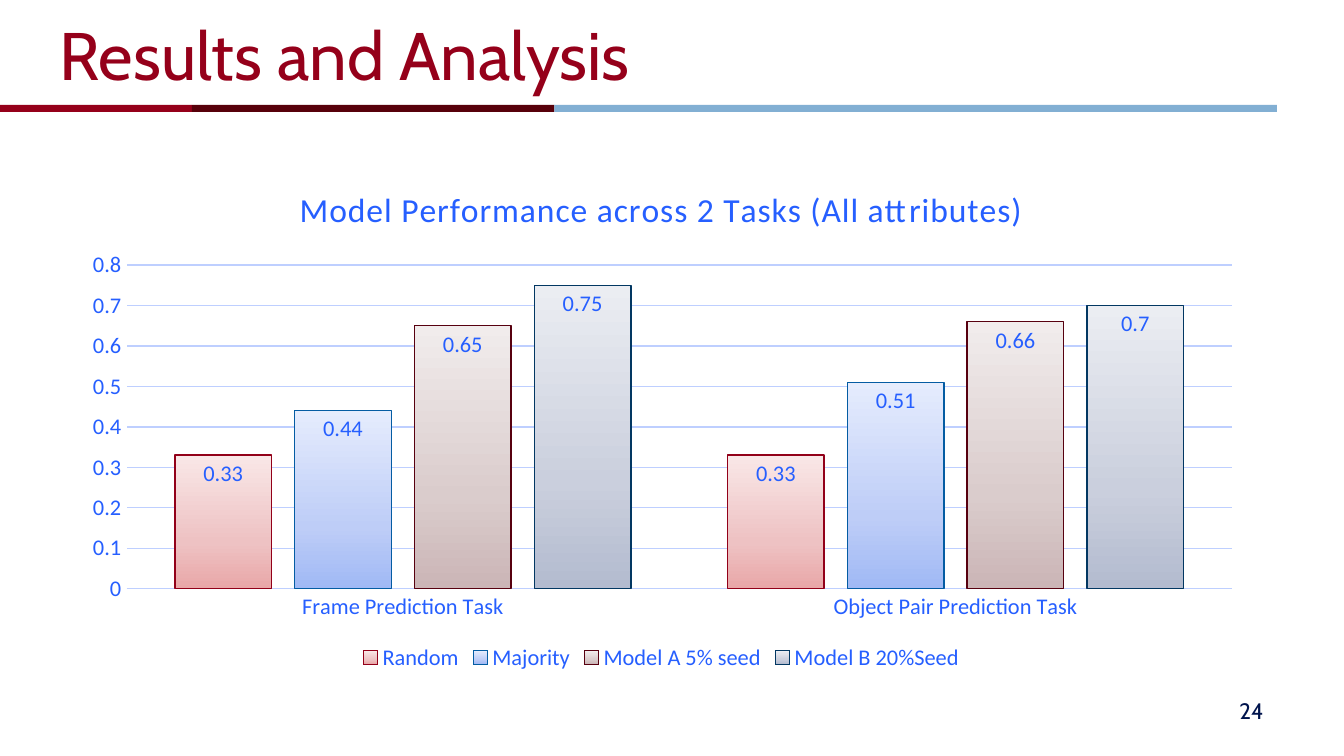
from copy import deepcopy

from pptx import Presentation
from pptx.chart.data import CategoryChartData
from pptx.dml.color import RGBColor
from pptx.enum.chart import XL_CHART_TYPE, XL_LABEL_POSITION, XL_LEGEND_POSITION, XL_TICK_MARK
from pptx.enum.shapes import MSO_SHAPE
from pptx.enum.text import MSO_ANCHOR, PP_ALIGN
from pptx.oxml import parse_xml
from pptx.oxml.ns import nsdecls
from pptx.util import Pt

PX = 9525
CRIMSON = RGBColor(0x95, 0x00, 0x1A)
MAROON = RGBColor(0x57, 0x00, 0x0A)
SKY = RGBColor(0x82, 0xAF, 0xD3)
NAVY = RGBColor(0x00, 0x14, 0x4D)
BLUE = RGBColor(0x26, 0x5F, 0xFF)
PALE_BLUE = RGBColor(0xBE, 0xCF, 0xFF)

BANDS = [(-1, 137, CRIMSON), (137, 396, MAROON), (396, 912, SKY)]
TASKS = ["Frame Prediction Task", "Object Pair Prediction Task"]
STOPS = (0, 0.35, 1)
MODELS = [
    ("Random", (0.33, 0.33), ("E9A7A8", "EEC2C3", "F9E7E7"), "920019"),
    ("Majority", (0.44, 0.51), ("A0B9F5", "BECDF7", "E5ECFD"), "045CA3"),
    ("Model A 5% seed", (0.65, 0.66), ("CBB5B6", "DACCCC", "F1ECEC"), "57000F"),
    ("Model B 20%Seed", (0.75, 0.7), ("B3BBCF", "CACFDD", "EBEDF2"), "023762"),
]
PLOT_BOX = {"x": 0.05, "y": 0.2, "w": 0.93, "h": 0.63}


def px(*lengths):
    """Turn px lengths into EMU."""
    return [n * PX for n in lengths]


def style_font(font, name, size, color):
    """Set typeface, size and colour of a font."""
    font.name = name
    font.size = Pt(size)
    font.bold = False
    font.color.rgb = color


def write(s, text, size, color, align):
    """Write one middle-anchored run into a shape."""
    tf = s.text_frame
    tf.word_wrap = True
    tf.vertical_anchor = MSO_ANCHOR.MIDDLE
    p = tf.paragraphs[0]
    p.alignment = align
    r = p.add_run()
    r.text = text
    style_font(r.font, "Cabin", size, color)


def add_title(slide, text):
    """Place and fill the title placeholder."""
    s = slide.shapes.title
    s.left, s.top, s.width, s.height = px(33, 2, 864, 73)
    write(s, text, 36, CRIMSON, PP_ALIGN.LEFT)


def add_band(slide, left, right, color):
    """Add one segment of the rule under the title."""
    s = slide.shapes.add_shape(MSO_SHAPE.RECTANGLE, *px(left, 75, right - left, 5))
    s.shadow.inherit = False
    s.fill.solid()
    s.fill.fore_color.rgb = color
    s.line.fill.background()


def add_number(slide, text):
    """Add the slide number."""
    s = slide.shapes.add_textbox(*px(688, 493, 224, 29))
    write(s, text, 12, NAVY, PP_ALIGN.RIGHT)


def style_line(line, color):
    """Give a line its colour and the common width."""
    line.color.rgb = color
    line.width = Pt(0.75)


def style_axis(axis):
    """Remove tick marks and style the axis labels."""
    axis.major_tick_mark = axis.minor_tick_mark = XL_TICK_MARK.NONE
    style_font(axis.tick_labels.font, "Calibri", 12, BLUE)


def style_series(series, colors, outline):
    """Give a series its three-stop gradient, outline and labels."""
    fill = series.format.fill
    fill.gradient()
    fill.gradient_angle = 90
    first = series._element.xpath("c:spPr/a:gradFill/a:gsLst/a:gs")[0]
    first.addnext(deepcopy(first))
    for stop, position, color in zip(fill.gradient_stops, STOPS, colors):
        stop.position = position
        stop.color.rgb = RGBColor.from_string(color)
    style_line(series.format.line, RGBColor.from_string(outline))
    labels = series.data_labels
    labels.show_value = True
    labels.position = XL_LABEL_POSITION.INSIDE_END
    style_font(labels.font, "Calibri", 12, BLUE)


def place_plot(chart):
    """Fix the inner plot area as fractions of the chart."""
    area = chart._chartSpace.chart.plotArea
    for layout in area.xpath("c:layout"):
        area.remove(layout)
    modes = "".join(f'<c:{k}Mode val="edge"/>' for k in "xy")
    sizes = "".join(f'<c:{k} val="{v}"/>' for k, v in PLOT_BOX.items())
    area.insert(0, parse_xml(
        f'<c:layout {nsdecls("c")}><c:manualLayout><c:layoutTarget val="inner"/>'
        f"{modes}{sizes}</c:manualLayout></c:layout>"))


def add_performance_chart(slide):
    """Add the clustered column chart of model scores."""
    data = CategoryChartData()
    data.categories = TASKS
    for name, values, _, _ in MODELS:
        data.add_series(name, values)
    chart = slide.shapes.add_chart(
        XL_CHART_TYPE.COLUMN_CLUSTERED, *px(48, 116, 849, 367), data).chart
    style_font(chart.font, "Calibri", 10, NAVY)

    r = chart.chart_title.text_frame.paragraphs[0].add_run()
    r.text = "Model Performance across 2 Tasks (All attributes)"
    style_font(r.font, "Calibri", 18, BLUE)
    r._r.get_or_add_rPr().set("spc", "50")
    chart.chart_title.include_in_layout = False

    chart.has_legend = True
    chart.legend.position = XL_LEGEND_POSITION.BOTTOM
    chart.legend.include_in_layout = False
    style_font(chart.legend.font, "Calibri", 12, BLUE)

    style_axis(chart.category_axis)
    style_line(chart.category_axis.format.line, PALE_BLUE)
    axis = chart.value_axis
    style_axis(axis)
    axis.minimum_scale, axis.maximum_scale, axis.major_unit = 0, 0.8, 0.1
    axis.format.line.fill.background()
    style_line(axis.major_gridlines.format.line, PALE_BLUE)

    plot = chart.plots[0]
    plot.vary_by_categories = False
    plot.gap_width, plot.overlap = 100, -24
    for series, (_, _, colors, outline) in zip(plot.series, MODELS):
        style_series(series, colors, outline)
    place_plot(chart)


def main():
    """Build the slide and save it."""
    prs = Presentation()
    prs.slide_width, prs.slide_height = px(960, 540)
    slide = prs.slides.add_slide(prs.slide_layouts[5])
    for band in BANDS:
        add_band(slide, *band)
    add_number(slide, "24")
    add_title(slide, "Results and Analysis")
    add_performance_chart(slide)
    prs.save("out.pptx")


if __name__ == "__main__":
    main()
